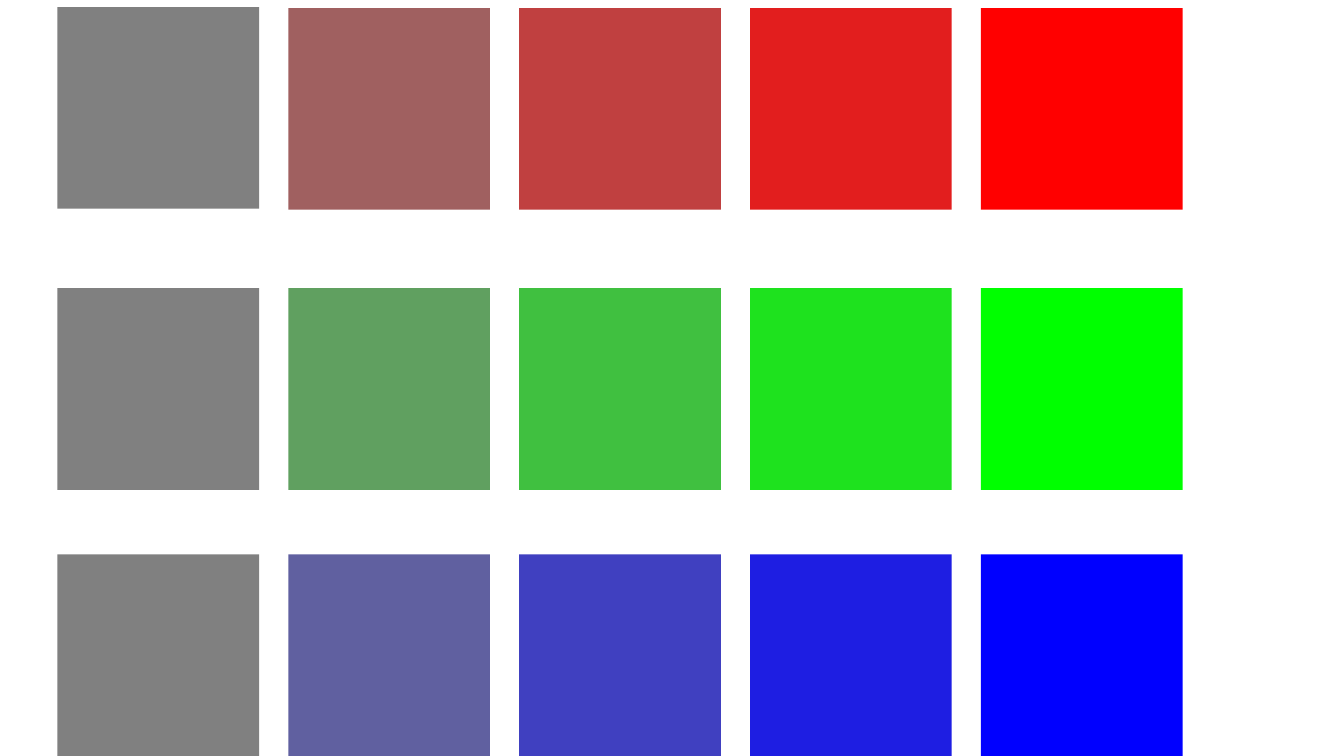
from dataclasses import dataclass

from pptx import Presentation
from pptx.dml.color import RGBColor
from pptx.enum.shapes import MSO_SHAPE as Shape
from pptx.util import Emu

# Content: one row per primary channel, with its top edge in px
ROWS = [("red", 8), ("green", 286), ("blue", 550)]
CHANNELS = [name for name, top in ROWS]


@dataclass(frozen=True)
class Theme:
    background: str = "FFFFFF"
    # (primary channel, other two channels), from grey to pure colour
    saturation_steps: tuple = (
        (0x80, 0x80), (0xA0, 0x60), (0xC0, 0x40), (0xE2, 0x1E), (0xFF, 0x00),
    )


THEME = Theme()

# Layout in px, 100 px to the inch
EMU_PER_PX = 9144
SLIDE_WIDTH, SLIDE_HEIGHT = 1333, 750
SWATCH_SIZE = 200
LEFT, GAP = 57, 29
FIRST_SWATCH_RISE = 1  # the very first swatch sits slightly higher


def px(length):
    return Emu(length * EMU_PER_PX)


def swatch_color(channel, primary, others):
    return RGBColor(*(primary if name == channel else others for name in CHANNELS))


def add_swatch(slide, left, top, color):
    swatch = slide.shapes.add_shape(
        Shape.RECTANGLE, px(left), px(top), px(SWATCH_SIZE), px(SWATCH_SIZE))
    swatch.shadow.inherit = False
    swatch.fill.solid()
    swatch.fill.fore_color.rgb = color
    swatch.line.fill.background()


def main():
    presentation = Presentation()
    presentation.slide_width = px(SLIDE_WIDTH)
    presentation.slide_height = px(SLIDE_HEIGHT)
    slide = presentation.slides.add_slide(presentation.slide_layouts[6])
    slide.background.fill.solid()
    slide.background.fill.fore_color.rgb = RGBColor.from_string(THEME.background)

    # Swatch grid
    for row, (channel, row_top) in enumerate(ROWS):
        for column, (primary, others) in enumerate(THEME.saturation_steps):
            left = LEFT + column * (SWATCH_SIZE + GAP)
            top = row_top - (FIRST_SWATCH_RISE if row == column == 0 else 0)
            add_swatch(slide, left, top, swatch_color(channel, primary, others))

    presentation.save("out.pptx")


if __name__ == "__main__":
    main()
